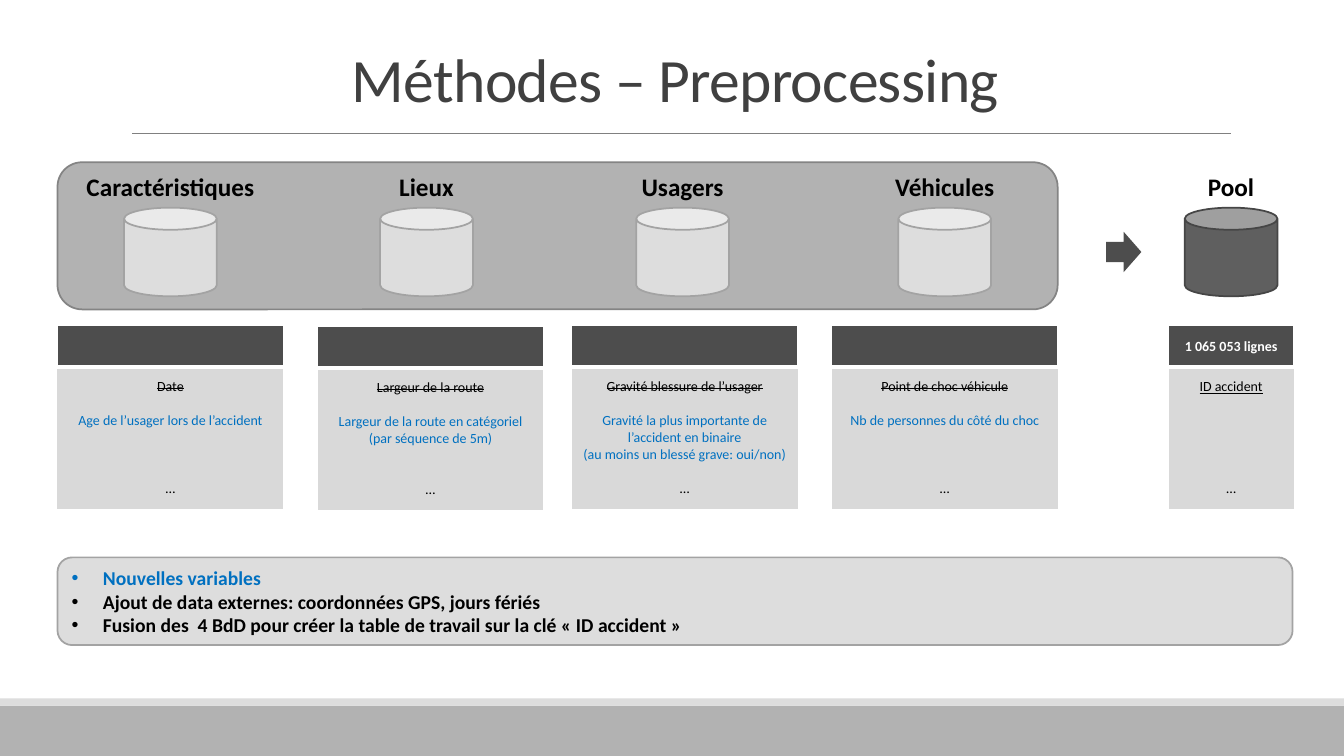
from lxml.etree import SubElement
from pptx import Presentation
from pptx.dml.color import RGBColor
from pptx.enum.shapes import MSO_CONNECTOR as Connector, MSO_SHAPE as Shape
from pptx.enum.text import MSO_ANCHOR as Anchor, PP_ALIGN as Align
from pptx.oxml.ns import qn
from pptx.util import Inches, Pt

WHITE = RGBColor(0xFF, 0xFF, 0xFF)
BLACK = RGBColor(0, 0, 0)
BLUE = RGBColor(0x00, 0x70, 0xC0)
TITLE_GREY = RGBColor(0x40, 0x40, 0x40)
DARK = RGBColor(0x4D, 0x4D, 0x4D)
RULE_GREY = RGBColor(0x80, 0x80, 0x80)
MID = RGBColor(0xB2, 0xB2, 0xB2)
MID_EDGE = RGBColor(0x84, 0x84, 0x84)
PALE = RGBColor(0xDD, 0xDD, 0xDD)
PALE_EDGE = RGBColor(0xA3, 0xA3, 0xA3)
POOL_FILL = RGBColor(0x5F, 0x5F, 0x5F)
POOL_EDGE = RGBColor(0x46, 0x46, 0x46)
CELL = RGBColor(0xD9, 0xD9, 0xD9)

HEADER = {"size": Pt(10), "bold": True, "color": WHITE}
PLAIN = {"size": Pt(10), "color": BLACK}
DROPPED = {**PLAIN, "strike": "sngStrike"}
KEY = {**PLAIN, "underline": True}
ADDED = {**PLAIN, "color": BLUE}
LABEL = {"size": Pt(18), "bold": True, "color": BLACK}
NOTE = {"size": Pt(14), "bold": True, "color": BLACK}
TITLE = {"size": Pt(44), "color": TITLE_GREY, "spc": "-50"}

NO_GRID_STYLE = "{2D5ABB26-0587-4C30-8999-92F81FD0307C}"
ROW_HEIGHTS = (0.41, 0.4, 0.6, 0.41)
CAN_WIDTH = 0.92

DATABASES = [
    ("Caractéristiques", 1.69, 1.88, 0.57, 3.23, "Date",
     ["Age de l’usager lors de l’accident"]),
    ("Lieux", 4.23, 0.75, 3.15, 3.24, "Largeur de la route",
     ["Largeur de la route en catégoriel", "(par séquence de 5m)"]),
    ("Usagers", 6.77, 1.02, 5.67, 3.23, "Gravité blessure de l’usager",
     ["Gravité la plus importante de l’accident en binaire",
      "(au moins un blessé grave: oui/non)"]),
    ("Véhicules", 9.37, 1.19, 8.25, 3.23, "Point de choc véhicule",
     ["Nb de personnes du côté du choc"]),
]
NOTES = [
    ("Nouvelles variables", BLUE),
    ("Ajout de data externes: coordonnées GPS, jours fériés", BLACK),
    ("Fusion des  4 BdD pour créer la table de travail sur la clé «\u00a0ID accident\u00a0»", BLACK),
]


def write(paragraph, text, style, align=Align.CENTER):
    """Write one styled run into a paragraph."""
    paragraph.alignment = align
    run = paragraph.add_run()
    run.text = text
    run.font.name = "Calibri"
    for key, value in style.items():
        if key == "color":
            run.font.color.rgb = value
        elif key in ("strike", "spc"):
            run.font._element.set(key, value)
        else:
            setattr(run.font, key, value)


def add_block(slide, kind, box, fill, edge=None):
    """Add a filled preset shape, outlined when an edge colour is given."""
    block = slide.shapes.add_shape(kind, *map(Inches, box))
    block.shadow.inherit = False
    block.fill.solid()
    block.fill.fore_color.rgb = fill
    if edge is None:
        block.line.fill.background()
    else:
        block.line.color.rgb = edge
        block.line.width = Pt(1.25)
    return block


def add_text(slide, box, text, style, anchor=Anchor.TOP, wrap=False):
    """Add a text box with one centred paragraph and return the paragraph."""
    frame = slide.shapes.add_textbox(*map(Inches, box)).text_frame
    frame.word_wrap = wrap
    frame.vertical_anchor = anchor
    write(frame.paragraphs[0], text, style)
    return frame.paragraphs[0]


def add_rule(slide, left, right, y):
    """Add the thin line under the title."""
    rule = slide.shapes.add_connector(
        Connector.STRAIGHT, Inches(left), Inches(y), Inches(right), Inches(y))
    rule.line.color.rgb = RULE_GREY
    rule.line.width = Pt(0.5)
    SubElement(rule._element.spPr, qn("a:effectLst"))


def add_database(slide, name, centre, label_width, fill, edge):
    """Add a database cylinder with its name above."""
    add_block(slide, Shape.CAN, (centre - CAN_WIDTH / 2, 2.06, CAN_WIDTH, 0.88), fill, edge)
    add_text(slide, (centre - label_width / 2, 1.65, label_width, 0.4), name, LABEL)


def add_border(cell, side, points):
    """Add a white border to one side of a cell."""
    border = SubElement(cell._tc.get_or_add_tcPr(), qn(f"a:{side}"), w=str(Pt(points)))
    fill = SubElement(border, qn("a:solidFill"))
    SubElement(fill, qn("a:srgbClr"), val=str(WHITE))


def add_variables(slide, left, top, width, rows):
    """Add a one-column table of variables, each row a list of lines and a style."""
    box = map(Inches, (left, top, width, sum(ROW_HEIGHTS)))
    table = slide.shapes.add_table(len(rows), 1, *box).table
    table._tbl.tblPr.find(qn("a:tableStyleId")).text = NO_GRID_STYLE
    for index, (lines, style) in enumerate(rows):
        table.rows[index].height = Inches(ROW_HEIGHTS[index])
        cell = table.cell(index, 0)
        if index == 0:
            for side, points in (("lnL", 1), ("lnR", 1), ("lnT", 1), ("lnB", 3)):
                add_border(cell, side, points)
        cell.fill.solid()
        cell.fill.fore_color.rgb = CELL if index else DARK
        cell.vertical_anchor = Anchor.TOP if index == 2 else Anchor.MIDDLE
        frame = cell.text_frame
        for number, line in enumerate(lines):
            paragraph = frame.add_paragraph() if number else frame.paragraphs[0]
            write(paragraph, line, style)


def add_notes(slide, box):
    """Add the rounded panel with the bulleted notes."""
    frame = add_block(slide, Shape.ROUNDED_RECTANGLE, box, PALE, PALE_EDGE).text_frame
    frame.word_wrap = True
    frame.vertical_anchor = Anchor.MIDDLE
    for number, (text, color) in enumerate(NOTES):
        paragraph = frame.add_paragraph() if number else frame.paragraphs[0]
        write(paragraph, text, {**NOTE, "color": color}, Align.LEFT)
        properties = paragraph._p.get_or_add_pPr()
        properties.set("marL", str(Inches(0.31)))
        properties.set("indent", str(-Inches(0.31)))
        SubElement(properties, qn("a:buFont"), typeface="Arial")
        SubElement(properties, qn("a:buChar"), char="•")


def main():
    """Build the preprocessing slide."""
    deck = Presentation()
    deck.slide_width, deck.slide_height = Inches(13.33), Inches(7.5)
    slide = deck.slides.add_slide(deck.slide_layouts[6])

    add_block(slide, Shape.RECTANGLE, (0, 7, 13.33, 0.5), MID)
    add_block(slide, Shape.RECTANGLE, (0, 6.93, 13.33, 0.07), PALE)
    add_rule(slide, 1.31, 12.21, 1.32)
    add_block(slide, Shape.ROUNDED_RECTANGLE, (0.57, 1.61, 9.92, 1.46), MID, MID_EDGE)
    title = add_text(slide, (1.2, 0.31, 11, 0.88), "Méthodes – Preprocessing",
                     TITLE, Anchor.BOTTOM, True)
    title.line_spacing = 0.85

    for name, centre, label_width, left, top, dropped, added in DATABASES:
        add_database(slide, name, centre, label_width, PALE, PALE_EDGE)
        add_variables(slide, left, top, 2.24, [
            ([], HEADER), ([dropped], DROPPED), (added, ADDED), (["…"], PLAIN)])

    add_database(slide, "Pool", 12.21, 0.66, POOL_FILL, POOL_EDGE)
    add_variables(slide, 11.59, 3.23, 1.24, [
        (["1 065 053 lignes"], HEADER), (["ID accident"], KEY), ([], PLAIN), (["…"], PLAIN)])
    add_block(slide, Shape.RIGHT_ARROW, (10.97, 2.3, 0.35, 0.4), DARK)
    add_notes(slide, (0.57, 5.53, 12.25, 0.87))
    deck.save("out.pptx")


if __name__ == "__main__":
    main()
